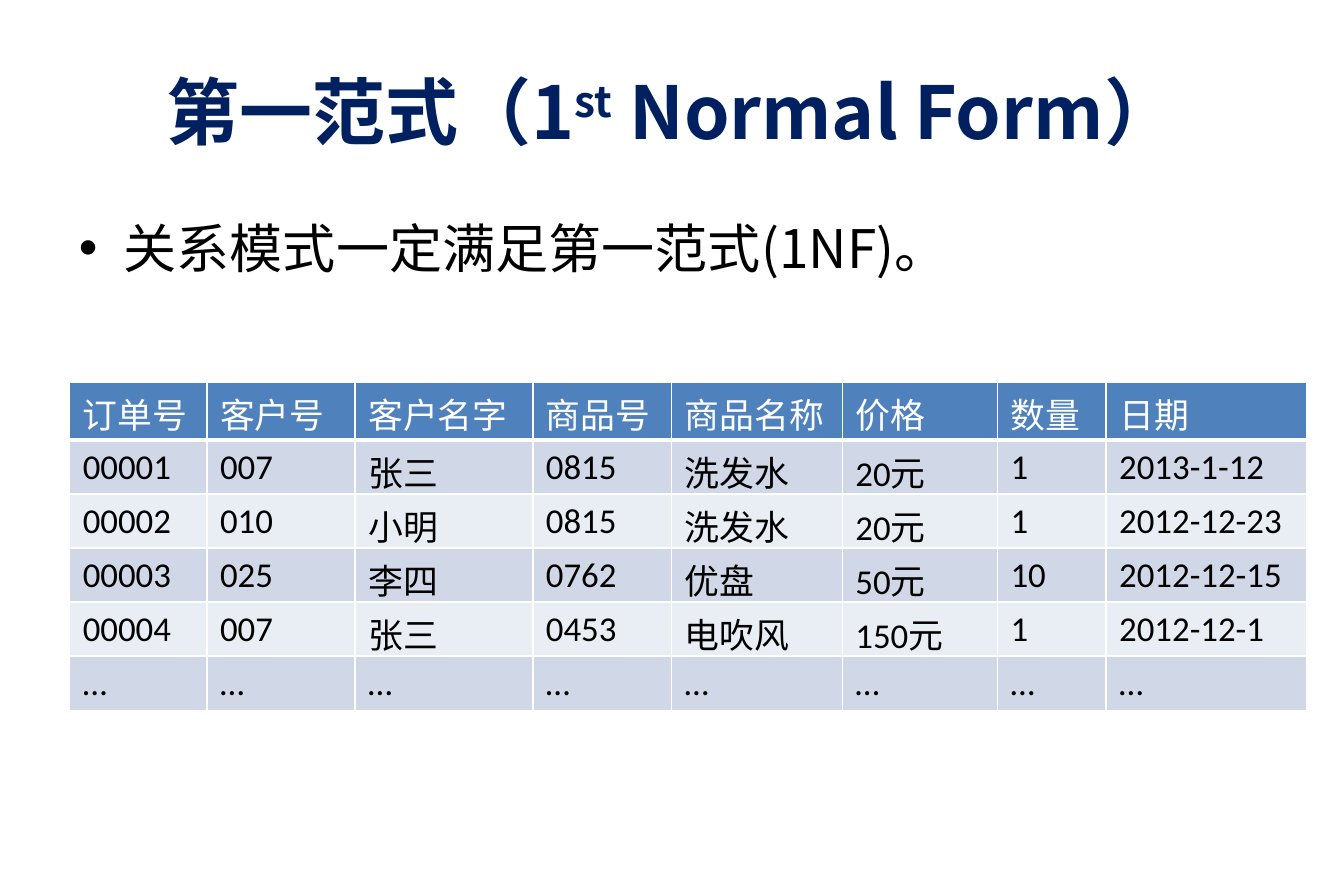
from dataclasses import dataclass

from lxml.etree import SubElement
from pptx import Presentation
from pptx.dml.color import RGBColor as RGB
from pptx.enum.text import MSO_ANCHOR as ANCHOR, PP_ALIGN as ALIGN
from pptx.oxml.ns import qn
from pptx.util import Cm, Pt


@dataclass(frozen=True)
class Theme:
    navy: str = "002060"
    black: str = "000000"
    white: str = "FFFFFF"
    header: str = "4F81BD"
    bands: tuple = ("D0D8E8", "E9EDF4")
    cjk: str = "Noto Sans CJK SC"
    latin: str = "Calibri"
    title_size: int = 44
    body_size: int = 32
    table_size: int = 21


T = Theme()

HEADERS = ["订单号", "客户号", "客户名字", "商品号", "商品名称", "价格", "数量", "日期"]
ORDERS = [
    ["00001", "007", "张三", "0815", "洗发水", "20元", "1", "2013-1-12"],
    ["00002", "010", "小明", "0815", "洗发水", "20元", "1", "2012-12-23"],
    ["00003", "025", "李四", "0762", "优盘", "50元", "10", "2012-12-15"],
    ["00004", "007", "张三", "0453", "电吹风", "150元", "1", "2012-12-1"],
    ["…"] * len(HEADERS),
]
COL_WIDTHS = [2.92, 3.15, 3.78, 2.95, 3.63, 3.3, 2.31, 4.27]
HEADER_HEIGHT, ROW_HEIGHT = 1.22, 1.04


def add_run(p, text, color, baseline=0, **font):
    r = p.add_run()
    r.text = text
    for name, value in font.items():
        setattr(r.font, name, value)
    r.font.color.rgb = RGB.from_string(color)
    rPr = r._r.get_or_add_rPr()
    if baseline:
        rPr.set("baseline", str(baseline * 1000))
    SubElement(rPr, qn("a:ea"), typeface=T.cjk)


def add_frame(slide, box, anchor):
    tf = slide.shapes.add_textbox(*map(Cm, box)).text_frame
    tf.word_wrap = True
    tf.vertical_anchor = anchor
    return tf


def add_title(slide, box):
    p = add_frame(slide, box, ANCHOR.MIDDLE).paragraphs[0]
    p.alignment = ALIGN.CENTER
    for text, baseline in [("第一范式（1", 0), ("st", 30), (" Normal Form）", 0)]:
        add_run(p, text, T.navy, baseline, name=T.cjk, size=Pt(T.title_size), bold=True)


def add_body(slide, box):
    p = add_frame(slide, box, ANCHOR.TOP).paragraphs[0]
    # Bullet with a hanging indent
    pPr = p._p.get_or_add_pPr()
    indent = Cm(0.95)
    pPr.set("marL", str(indent))
    pPr.set("indent", str(-indent))
    SubElement(pPr, qn("a:buFont"), typeface="Arial")
    SubElement(pPr, qn("a:buChar"), char="•")
    add_run(p, "关系模式一定满足第一范式(1NF)。", T.black, name=T.cjk, size=Pt(T.body_size))


def set_borders(cell, bottom):
    tcPr = cell._tc.get_or_add_tcPr()
    for side, width in dict(L=1, R=1, T=1, B=bottom).items():
        ln = SubElement(tcPr, qn(f"a:ln{side}"), w=str(Pt(width)))
        SubElement(SubElement(ln, qn("a:solidFill")), qn("a:srgbClr"), val=T.white)


def add_orders(slide, left, top):
    rows = [HEADERS] + ORDERS
    heights = [HEADER_HEIGHT] + [ROW_HEIGHT] * len(ORDERS)
    table = slide.shapes.add_table(
        len(rows), len(HEADERS), Cm(left), Cm(top), Cm(sum(COL_WIDTHS)), Cm(sum(heights))
    ).table
    for column, width in zip(table.columns, COL_WIDTHS):
        column.width = Cm(width)
    cell_format = dict(margin_left=Cm(0.28), margin_right=Cm(0.28),
                       margin_top=Cm(0.13), margin_bottom=Cm(0.13))

    for i, (values, height) in enumerate(zip(rows, heights)):
        table.rows[i].height = Cm(height)
        is_header = i == 0
        fill = T.header if is_header else T.bands[(i - 1) % 2]
        color = T.white if is_header else T.black
        for j, value in enumerate(values):
            cell = table.cell(i, j)
            for name, setting in cell_format.items():
                setattr(cell, name, setting)
            set_borders(cell, bottom=3 if is_header else 1)
            cell.fill.solid()
            cell.fill.fore_color.rgb = RGB.from_string(fill)
            add_run(cell.text_frame.paragraphs[0], value, color,
                    name=T.latin, size=Pt(T.table_size))


def main():
    prs = Presentation()
    prs.slide_width, prs.slide_height = Cm(28.58), Cm(19.05)
    slide = prs.slides.add_slide(prs.slide_layouts[6])
    add_title(slide, (1.43, 0.76, 25.72, 3.18))
    add_body(slide, (1.43, 4.45, 25.72, 12.57))
    add_orders(slide, 1.48, 8.13)
    prs.save("out.pptx")


if __name__ == "__main__":
    main()
